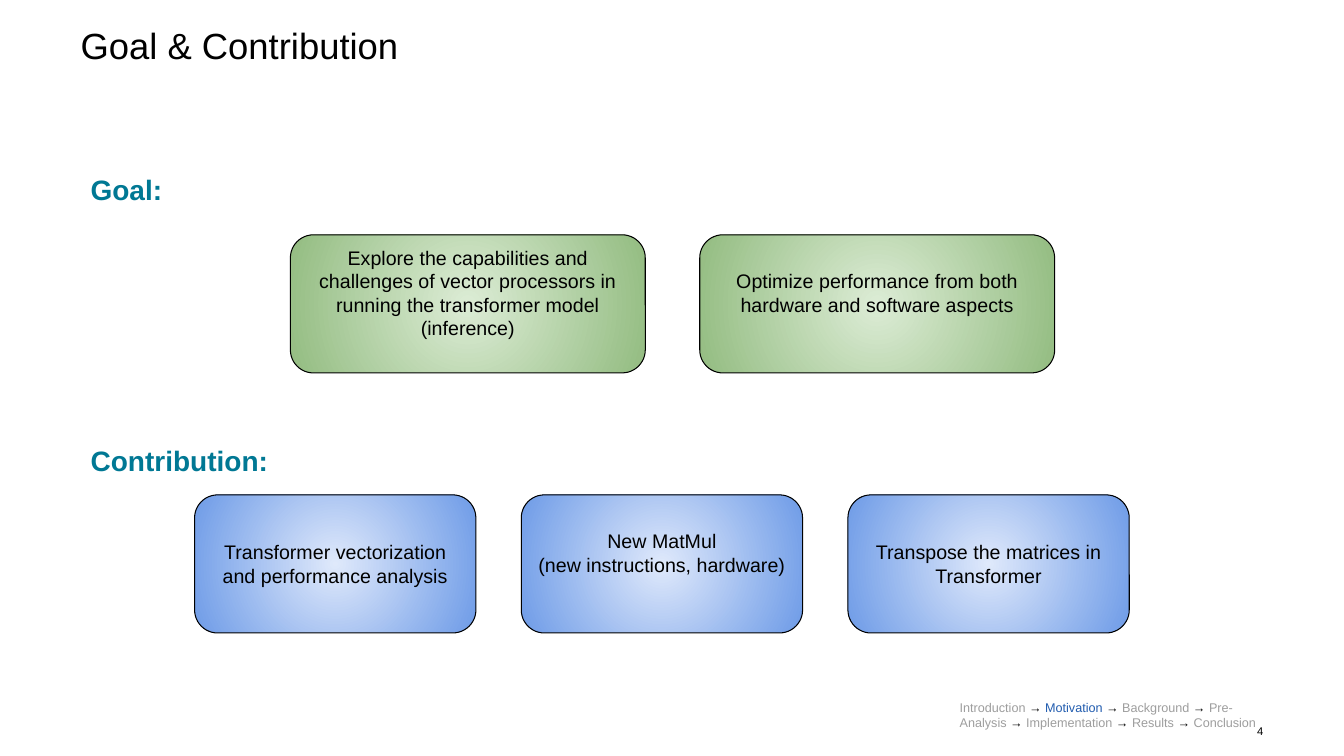
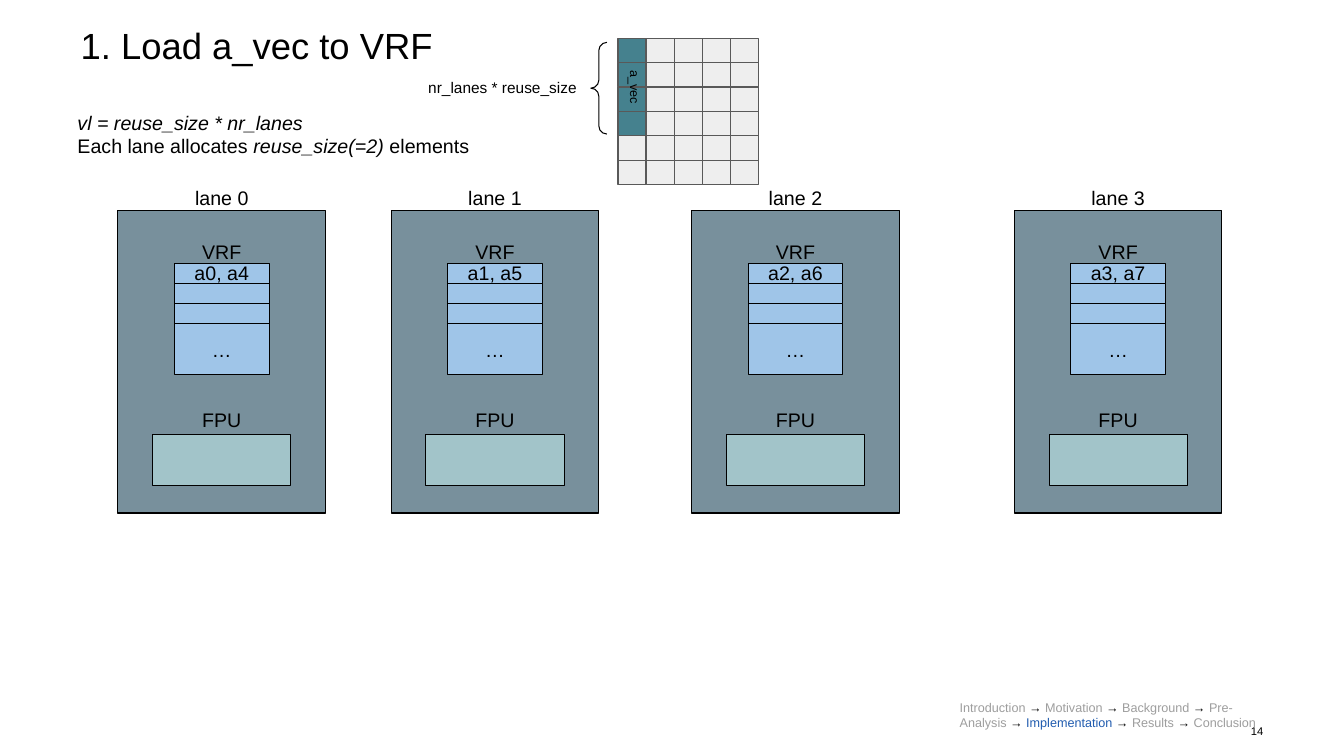
from dataclasses import dataclass
from typing import Union

import pptx
import pptx.dml.color
import pptx.enum.shapes
import pptx.enum.text
import pptx.oxml
import pptx.oxml.ns
import pptx.shapes.autoshape
import pptx.shapes.shapetree
import pptx.slide
import pptx.text.text
import pptx.util

Inches = pptx.util.Inches
Align = pptx.enum.text.PP_ALIGN
Anchor = pptx.enum.text.MSO_ANCHOR
ShapeType = pptx.enum.shapes.MSO_SHAPE
Shape = pptx.shapes.autoshape.Shape
Shapes = Union[pptx.shapes.shapetree.SlideShapes, pptx.shapes.shapetree.GroupShapes]

FONT = "Arial"
BLACK, GREY, BLUE, TEAL = "000000", "9E9E9E", "215CAF", "007894"
MATRIX_LINE, MATRIX_CELL, MATRIX_VECTOR = "595959", "EEEEEE", "45818E"
LANE_FILL, REGISTER_FILL, FPU_FILL = "78909C", "9FC5E8", "A2C4C9"
GREEN_GLOW = ("DCECD5", "93BC81")
BLUE_GLOW = ("DFE9FB", "6E9BE7")
BODY_SIZE = 14
INSET = 0.1
STEPS = ("Introduction", "Motivation", "Background", "Pre-Analysis",
         "Implementation", "Results", "Conclusion")


@dataclass(frozen=True)
class Box:
    """Position and size in inches."""
    left: float
    top: float
    width: float
    height: float

    def lengths(self) -> tuple:
        return tuple(Inches(value) for value in (self.left, self.top, self.width, self.height))


@dataclass(frozen=True)
class TextStyle:
    size: float = BODY_SIZE
    color: str = BLACK
    bold: bool = False
    align: Align = Align.LEFT
    anchor: Anchor = Anchor.TOP
    insets: tuple = (INSET, INSET, INSET, INSET)  # left, top, right, bottom


@dataclass(frozen=True)
class Span:
    text: str
    color: str = BLACK
    italic: bool = False


@dataclass(frozen=True)
class Card:
    text: str
    raised: bool = False  # text sits half a line above the middle


@dataclass(frozen=True)
class CardRow:
    heading: str
    heading_box: Box
    first_card: Box
    gap: float
    glow: tuple
    cards: tuple


CENTERED = TextStyle(align=Align.CENTER)
IN_SHAPE = TextStyle(align=Align.CENTER, anchor=Anchor.MIDDLE, insets=(INSET, 0, INSET, 0))
RAISED = TextStyle(align=Align.CENTER, anchor=Anchor.MIDDLE, insets=(INSET, 0, INSET, 0.22))
HEADING = TextStyle(size=20, color=TEAL, bold=True)
TITLE = TextStyle(size=26, insets=(0, 0, 0, 0))
PAGE_NUMBER = TextStyle(size=8, align=Align.RIGHT, anchor=Anchor.MIDDLE, insets=(0, 0, 0, 0))

CARD_ROWS = (
    CardRow("Goal:", Box(0.8, 1.61, 1.01, 0.54), Box(2.88, 2.33, 3.52, 1.37), 0.54, GREEN_GLOW, (
        Card("Explore the capabilities and challenges of vector processors in running "
             "the transformer model (inference)", raised=True),
        Card("Optimize performance from both hardware and software aspects", raised=True),
    )),
    CardRow("Contribution:", Box(0.8, 4.3, 2.21, 0.54), Box(1.93, 4.91, 2.79, 1.37), 0.45, BLUE_GLOW, (
        Card("Transformer vectorization and performance analysis"),
        Card("New MatMul\n(new instructions, hardware)", raised=True),
        Card("Transpose the matrices in Transformer"),
    )),
)

MATRIX = Box(6.13, 0.38, 1.39, 1.45)
MATRIX_ROWS, MATRIX_COLUMNS, VECTOR_ROWS = 6, 5, 4
LANE_LEFTS = (1.17, 3.88, 6.86, 10.06)
LANE_TOP, LANE_WIDTH, LANE_HEIGHT = 2.09, 2.06, 3
REGISTER_TOP, REGISTER_HEIGHT = 2.61, 0.2


def rgb(color: str) -> pptx.dml.color.RGBColor:
    return pptx.dml.color.RGBColor.from_string(color)


def style_font(font: pptx.text.text.Font, style: TextStyle, color: str) -> None:
    font.name = FONT
    font.size = pptx.util.Pt(style.size)
    font.bold = style.bold
    font.color.rgb = rgb(color)


def prepare_frame(shape: Shape, style: TextStyle) -> pptx.text.text.TextFrame:
    frame = shape.text_frame
    frame.word_wrap = True
    frame.vertical_anchor = style.anchor
    (frame.margin_left, frame.margin_top,
     frame.margin_right, frame.margin_bottom) = (Inches(inset) for inset in style.insets)
    return frame


def write(shape: Shape, text: str, style: TextStyle) -> None:
    frame = prepare_frame(shape, style)
    frame.text = text
    for paragraph in frame.paragraphs:
        paragraph.alignment = style.align
        for run in paragraph.runs:
            style_font(run.font, style, style.color)


def add_text(shapes: Shapes, box: Box, text: str, style: TextStyle) -> Shape:
    shape = shapes.add_textbox(*box.lengths())
    write(shape, text, style)
    return shape


def add_spans(shapes: Shapes, box: Box, lines: list[list[Span]], style: TextStyle) -> None:
    """Add a text box whose lines mix colours or italics."""
    frame = prepare_frame(shapes.add_textbox(*box.lengths()), style)
    for index, spans in enumerate(lines):
        paragraph = frame.add_paragraph() if index else frame.paragraphs[0]
        for span in spans:
            run = paragraph.add_run()
            run.text = span.text
            style_font(run.font, style, span.color)
            run.font.italic = span.italic


def add_outline(shapes: Shapes, kind: ShapeType, box: Box, line: str = BLACK) -> Shape:
    shape = shapes.add_shape(kind, *box.lengths())
    shape.shadow.inherit = False
    shape.fill.background()
    shape.line.color.rgb = rgb(line)
    shape.line.width = pptx.util.Pt(0.75)
    return shape


def add_rectangle(shapes: Shapes, box: Box, fill: str, line: str = BLACK, text: str = "") -> None:
    shape = add_outline(shapes, ShapeType.RECTANGLE, box, line)
    shape.fill.solid()
    shape.fill.fore_color.rgb = rgb(fill)
    if text:
        write(shape, text, IN_SHAPE)


def fill_glow(shape: Shape, glow: tuple) -> None:
    """Fill with a circular gradient from the centre outwards."""
    shape.fill.gradient()
    for stop, color in zip(shape.fill.gradient_stops, glow):
        stop.color.rgb = rgb(color)
    linear = next(shape.element.iter(pptx.oxml.ns.qn("a:lin")))
    circle = pptx.oxml.parse_xml(
        f'<a:path {pptx.oxml.ns.nsdecls("a")} path="circle">'
        '<a:fillToRect l="50000" t="50000" r="50000" b="50000"/></a:path>')
    linear.getparent().replace(linear, circle)


def add_base_slide(presentation, title: str, number: int, current_step: str) -> pptx.slide.Slide:
    """Add a slide with its title, page number and progress trail."""
    slide = presentation.slides.add_slide(presentation.slide_layouts[6])
    title_shape = add_text(slide.shapes, Box(0.8, 0.28, 11.73, 0.98), title, TITLE)
    title_shape.text_frame.paragraphs[0].line_spacing = 0.9
    add_text(slide.shapes, Box(12.18, 7.13, 0.35, 0.24), str(number), PAGE_NUMBER)
    trail = []
    for step in STEPS:
        if trail:
            trail.append(Span(" → "))
        trail.append(Span(step, BLUE if step == current_step else GREY))
    add_spans(slide.shapes, Box(9.42, 6.84, 3.22, 0.66), [trail], TextStyle(size=9))
    return slide


def add_card_row(shapes: Shapes, row: CardRow) -> None:
    add_text(shapes, row.heading_box, row.heading, HEADING)
    first = row.first_card
    for index, card in enumerate(row.cards):
        left = first.left + index * (first.width + row.gap)
        shape = add_outline(shapes, ShapeType.ROUNDED_RECTANGLE,
                            Box(left, first.top, first.width, first.height))
        fill_glow(shape, row.glow)
        write(shape, card.text, RAISED if card.raised else IN_SHAPE)


def add_matrix(shapes: Shapes) -> None:
    width, height = MATRIX.width / MATRIX_COLUMNS, MATRIX.height / MATRIX_ROWS
    for row in range(MATRIX_ROWS):
        for column in range(MATRIX_COLUMNS):
            in_vector = column == 0 and row < VECTOR_ROWS
            add_rectangle(shapes,
                          Box(MATRIX.left + column * width, MATRIX.top + row * height, width, height),
                          MATRIX_VECTOR if in_vector else MATRIX_CELL, MATRIX_LINE)
    label = add_text(shapes, Box(5.82, 0.69, 0.91, 0.35), "a_vec",
                     TextStyle(size=9, align=Align.CENTER))
    label.rotation = 90
    brace = add_outline(shapes, ShapeType.LEFT_BRACE, Box(5.86, 0.42, 0.16, 0.91))
    brace.adjustments[0] = 0.5
    add_text(shapes, Box(3.59, 0.68, 2.23, 0.39), "nr_lanes * reuse_size",
             TextStyle(size=11, align=Align.RIGHT))


def add_lane(shapes: Shapes, index: int, lane_left: float) -> None:
    def centered(top: float, width: float, height: float) -> Box:
        return Box(lane_left + (LANE_WIDTH - width) / 2, top, width, height)

    add_rectangle(shapes, centered(LANE_TOP, LANE_WIDTH, LANE_HEIGHT), LANE_FILL)
    add_text(shapes, centered(1.74, 0.8, 0.44), f"lane {index}", CENTERED)
    registers = (f"a{index}, a{index + len(LANE_LEFTS)}", "", "", "…")
    for row, text in enumerate(registers):
        height = 0.51 if text == "…" else REGISTER_HEIGHT
        add_rectangle(shapes, centered(REGISTER_TOP + row * REGISTER_HEIGHT, 0.94, height),
                      REGISTER_FILL, text=text)
    add_rectangle(shapes, centered(4.31, 1.37, 0.51), FPU_FILL)
    for text, top in (("VRF", 2.28), ("FPU", 3.95)):
        add_text(shapes, centered(top, 0.65, 0.44), text, CENTERED)


def add_goal_slide(presentation) -> None:
    slide = add_base_slide(presentation, "Goal & Contribution", 4, "Motivation")
    for row in CARD_ROWS:
        add_card_row(slide.shapes, row)


def add_load_slide(presentation) -> None:
    slide = add_base_slide(presentation, "1. Load a_vec to VRF", 14, "Implementation")
    add_spans(slide.shapes, Box(0.67, 1, 4.52, 0.67), [
        [Span("vl = reuse_size * nr_lanes", italic=True)],
        [Span("Each lane allocates "), Span("reuse_size(=2)", italic=True), Span(" elements")],
    ], TextStyle())
    add_matrix(slide.shapes.add_group_shape().shapes)
    for index, lane_left in enumerate(LANE_LEFTS):
        add_lane(slide.shapes.add_group_shape().shapes, index, lane_left)


def main() -> None:
    presentation = pptx.Presentation()
    presentation.slide_width = Inches(13.33)
    presentation.slide_height = Inches(7.5)
    add_goal_slide(presentation)
    add_load_slide(presentation)
    presentation.save("out.pptx")


if __name__ == "__main__":
    main()
